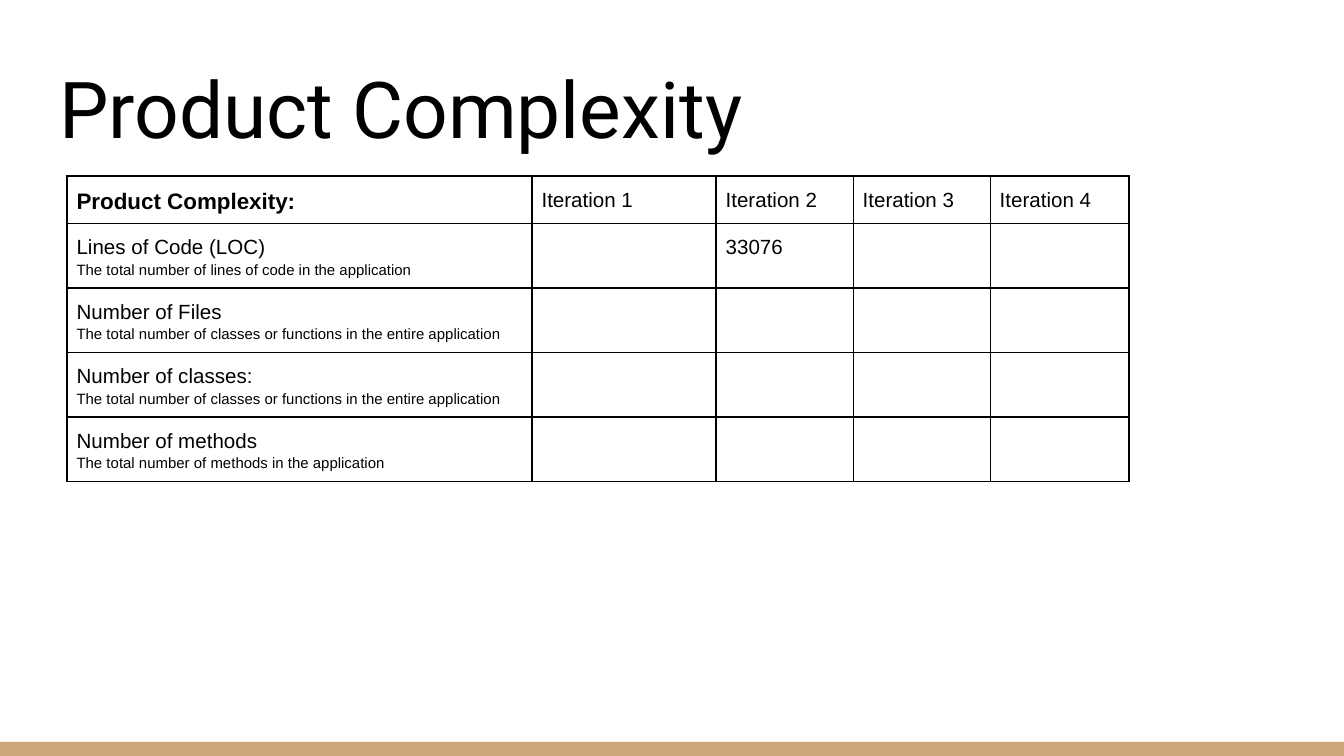
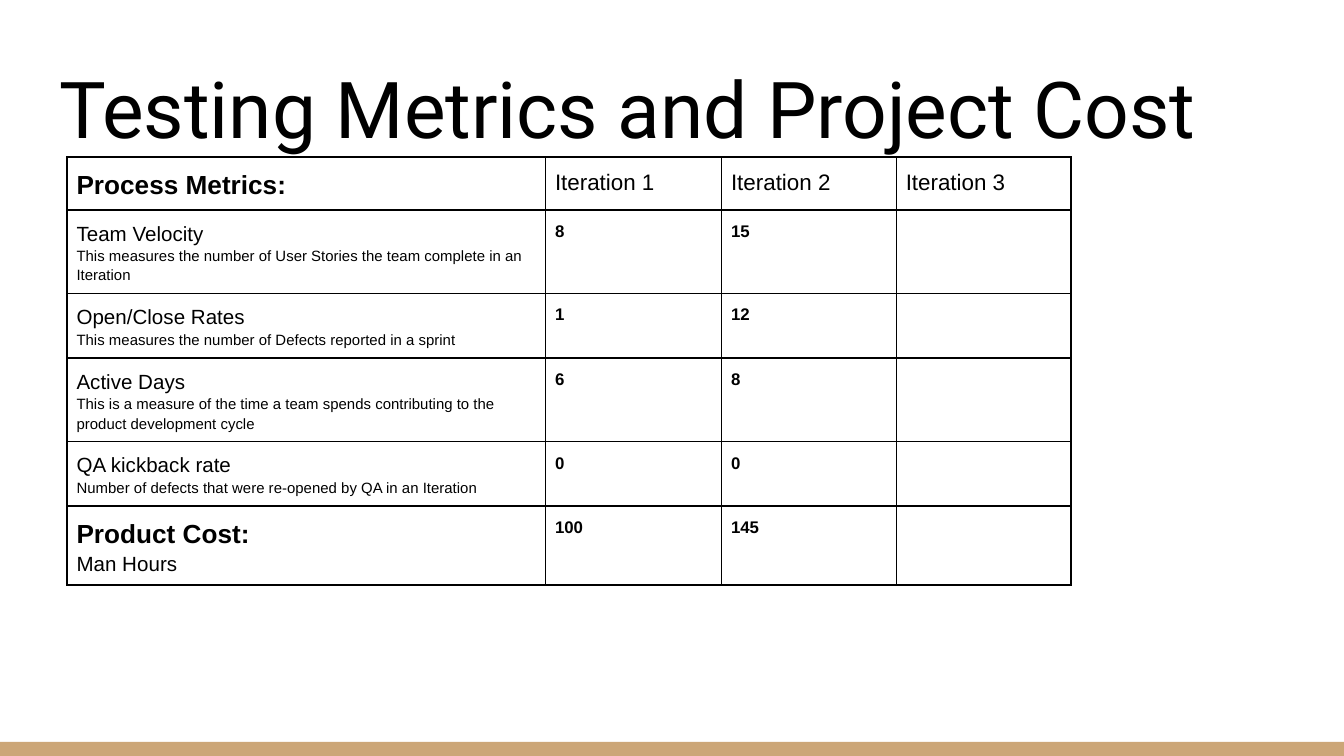
from lxml.etree import SubElement
from pptx import Presentation
from pptx.dml.color import RGBColor
from pptx.enum.shapes import MSO_SHAPE as Shape
from pptx.enum.text import MSO_ANCHOR as Anchor, MSO_AUTO_SIZE as AutoSize, PP_ALIGN as Align
from pptx.oxml.ns import qn
from pptx.util import Inches, Pt

COLORS = {"band": "CCA677", "text": "000000", "border": "000000"}
TITLE_FONT, TABLE_FONT = "Roboto", "Arial"
TITLE_ONLY = 5


def color(name):
    return RGBColor.from_string(COLORS[name])


def write(para, text, size, font=TABLE_FONT, bold=False, spacing=None):
    para.alignment = Align.LEFT
    para.line_spacing = spacing
    span = para.add_run()
    span.text = text
    span.font.name = font
    span.font.size = Pt(size)
    span.font.bold = bold
    span.font.color.rgb = color("text")


def draw_borders(cell, width=1):
    """Outline a cell; border elements must come before its fill."""
    properties = cell._tc.get_or_add_tcPr()
    for index, side in enumerate(("lnL", "lnR", "lnT", "lnB")):
        line = SubElement(properties, qn(f"a:{side}"), w=str(Pt(width)))
        fill = SubElement(line, qn("a:solidFill"))
        SubElement(fill, qn("a:srgbClr"), val=COLORS["border"])
        properties.insert(index, line)


class MetricsDeck:
    def __init__(self):
        self.deck = Presentation()
        self.deck.slide_width = Inches(10)
        self.deck.slide_height = Inches(10) * 9 // 16
        self.page = None

    def add_page(self, title):
        self.page = self.deck.slides.add_slide(self.deck.slide_layouts[TITLE_ONLY])
        self.add_band()
        self.set_title(title)

    def add_band(self):
        top = Inches(5.52)
        band = self.page.shapes.add_shape(
            Shape.RECTANGLE, 0, top, self.deck.slide_width, self.deck.slide_height - top)
        band.shadow.inherit = False
        band.fill.solid()
        band.fill.fore_color.rgb = color("band")
        band.line.fill.background()

    def set_title(self, text):
        box = self.page.shapes.title
        box.left, box.top = Inches(0.34), Inches(0.35)
        box.width, box.height = Inches(9.32), Inches(0.9)
        frame = box.text_frame
        frame.word_wrap = True
        frame.auto_size = AutoSize.NONE
        frame.vertical_anchor = Anchor.BOTTOM
        frame.margin_left = frame.margin_right = Inches(0.1)
        frame.margin_top = frame.margin_bottom = Inches(0.1)
        write(frame.paragraphs[0], text, 42, font=TITLE_FONT)

    def add_table(self, top, widths, heights, rows):
        """Each cell is a list of (text, size, bold) paragraphs."""
        table = self.page.shapes.add_table(
            len(heights), len(widths), Inches(0.5), Inches(top),
            Inches(sum(widths)), Inches(sum(heights))).table
        table.first_row = table.horz_banding = False
        for column, width in zip(table.columns, widths):
            column.width = Inches(width)
        for row, height, contents in zip(table.rows, heights, rows):
            row.height = Inches(height)
            for cell, paragraphs in zip(row.cells, contents):
                self.fill_cell(cell, paragraphs)

    def fill_cell(self, cell, paragraphs):
        cell.margin_left = cell.margin_right = Inches(0.07)
        cell.margin_top = cell.margin_bottom = Inches(0.07)
        cell.fill.background()
        draw_borders(cell)
        for index, (text, size, bold) in enumerate(paragraphs):
            frame = cell.text_frame
            para = frame.add_paragraph() if index else frame.paragraphs[0]
            write(para, text, size, bold=bold, spacing=1.15)


def header_row(heading, heading_size, iterations, size):
    labels = [[(f"Iteration {number}", size, False)] for number in range(1, iterations + 1)]
    return [[(heading, heading_size, True)]] + labels


def metric_row(name, detail, values, size, bold=False):
    cells = [[(value, size, bold)] if value else [] for value in values]
    return [[(name, 11, False), (detail, 8, False)]] + cells


def main():
    metrics = MetricsDeck()

    metrics.add_page("Product Complexity")
    complexity = [
        ("Lines of Code (LOC)", "The total number of lines of code in the application",
         ("", "33076", "", "")),
        ("Number of Files", "The total number of classes or functions in the entire application",
         ("",) * 4),
        ("Number of classes:", "The total number of classes or functions in the entire application",
         ("",) * 4),
        ("Number of methods", "The total number of methods in the application", ("",) * 4),
    ]
    metrics.add_table(
        1.31, [3.46, 1.37, 1.02, 1.02, 1.03], [0.35] + [0.48] * 4,
        [header_row("Product Complexity:", 12, 4, 11)]
        + [metric_row(*entry, size=11) for entry in complexity])

    metrics.add_page("Testing Metrics and Project Cost")
    process = [
        ("Team Velocity",
         "This measures the number of User Stories the team complete in an Iteration",
         ("8", "15", "")),
        ("Open/Close Rates", "This measures the number of Defects reported in a sprint",
         ("1", "12", "")),
        ("Active Days",
         "This is a measure of the time a team spends contributing to the product development cycle",
         ("6", "8", "")),
        ("QA kickback rate", "Number of defects that were re-opened by QA in an Iteration",
         ("0", "0", "")),
    ]
    cost_row = [[("Product Cost:", 14, True), ("Man Hours", 11, False)],
                [("100", 9, True)], [("145", 9, True)], []]
    metrics.add_table(
        1.17, [3.56, 1.31, 1.3, 1.3], [0.39, 0.62, 0.48, 0.62, 0.48, 0.58],
        [header_row("Process Metrics:", 14, 3, 12)]
        + [metric_row(*entry, size=9, bold=True) for entry in process]
        + [cost_row])

    metrics.deck.save("out.pptx")


if __name__ == "__main__":
    main()
